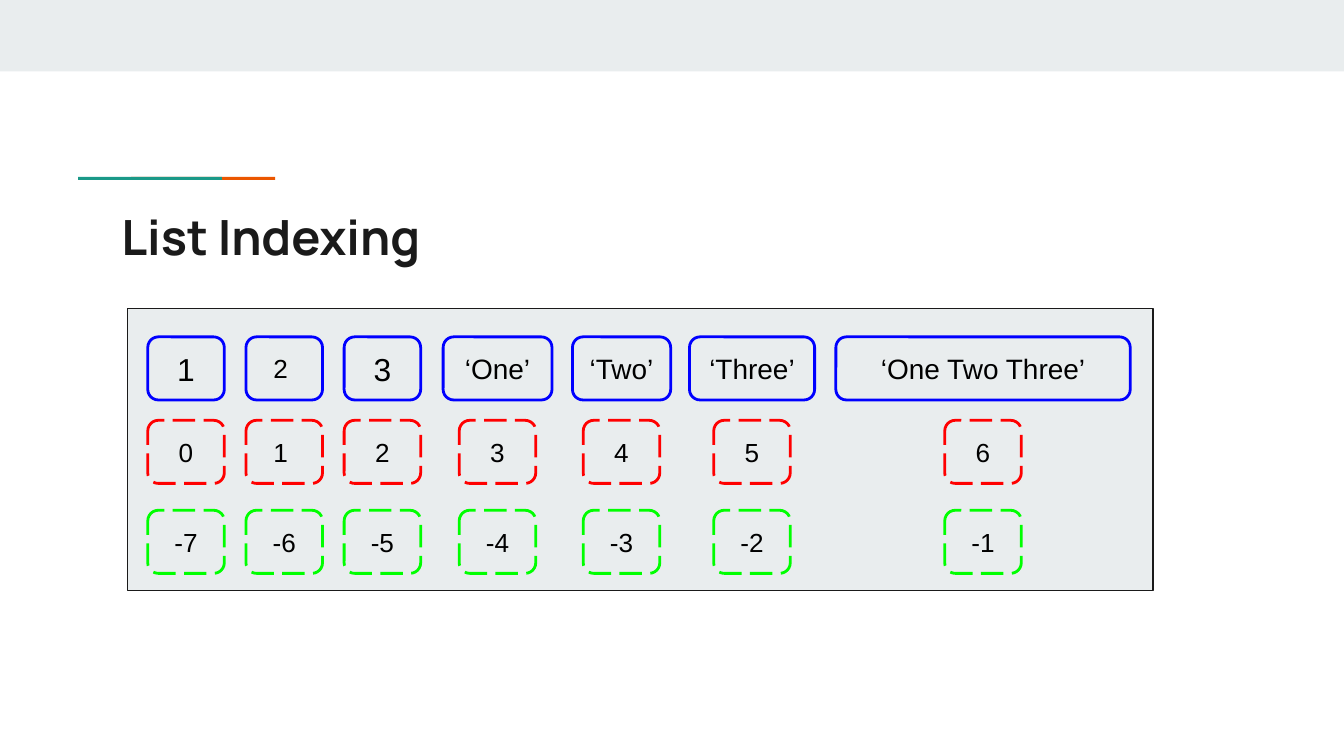
from pptx import Presentation
from pptx.dml.color import RGBColor
from pptx.enum.dml import MSO_LINE
from pptx.enum.shapes import MSO_SHAPE
from pptx.enum.text import MSO_ANCHOR, PP_ALIGN
from pptx.util import Pt

RECT = MSO_SHAPE.RECTANGLE
ROUNDED = MSO_SHAPE.ROUNDED_RECTANGLE
LONG_DASH = MSO_LINE.LONG_DASH
MIDDLE, TOP = MSO_ANCHOR.MIDDLE, MSO_ANCHOR.TOP
CENTER, LEFT = PP_ALIGN.CENTER, PP_ALIGN.LEFT

COLORS = {
    "panel": "E9EDEE",
    "ink": "1A1A1A",
    "text": "000000",
    "teal": "1A9988",
    "orange": "EB5600",
    "value": "0000FF",
    "positive": "FF0000",
    "negative": "00FF00",
}

SLIDE_WIDTH, SLIDE_HEIGHT = 720, 405
INSET = 7.2
CELL_WIDTH, CELL_HEIGHT = 41, 33.8
VALUE_TOP, POSITIVE_TOP, NEGATIVE_TOP = 15.1, 59.8, 108

# Value, its text size, left edge within the panel, cell width
LIST_ITEMS = [
    ("1", 17, 10.8, CELL_WIDTH),
    ("2 ", 14, 63.4, CELL_WIDTH),
    ("3", 17, 116, CELL_WIDTH),
    ("‘One’", 15, 169, 58.3),
    ("‘Two’", 15, 238.3, 52.6),
    ("‘Three’", 15, 301, 67),
    ("‘One Two Three’", 15, 379.4, 157.7),
]
POSITIVE_LABELS = ["0", "1 ", "2", "3", "4", "5", "6"]


def color(name):
    return RGBColor.from_string(COLORS[name])


def add_box(slide, kind, box, fill, line=None, line_width=1.5):
    shape = slide.shapes.add_shape(kind, *map(Pt, box))
    shape.shadow.inherit = False
    shape.fill.solid()
    shape.fill.fore_color.rgb = color(fill)
    if line:
        shape.line.color.rgb = color(line)
        shape.line.width = Pt(line_width)
    else:
        shape.line.fill.background()
    return shape


def write(shape, text, size, font, ink, anchor, align, bold=False):
    frame = shape.text_frame
    frame.word_wrap = True
    frame.vertical_anchor = anchor
    frame.margin_left = frame.margin_right = Pt(INSET)
    frame.margin_top = frame.margin_bottom = Pt(INSET)
    paragraph = frame.paragraphs[0]
    paragraph.alignment = align
    run = paragraph.add_run()
    run.text = text
    run.font.size = Pt(size)
    run.font.name = font
    run.font.bold = bold
    run.font.color.rgb = color(ink)


def add_accent(slide, left, top, width, height):
    """Two equal bars at either end of the box, the teal one on top."""
    bar_width = 0.73 * width
    add_box(slide, RECT, (left + width - bar_width, top, bar_width, height), "orange")
    add_box(slide, RECT, (left, top, bar_width, height), "teal")


def add_title(slide, left, top, width, height):
    title = slide.shapes.add_textbox(Pt(left), Pt(top), Pt(width), Pt(height))
    write(title, "List Indexing", 26, "Manrope", "ink", TOP, LEFT, bold=True)


def add_cell(slide, box, text, size, outline, dashed=True):
    cell = add_box(slide, ROUNDED, box, "panel", outline)
    if dashed:
        cell.line.dash_style = LONG_DASH
    write(cell, text, size, "Arial", "text", MIDDLE, CENTER)


def add_index_panel(slide, left, top, width, height):
    """List values, each with its positive and negative index centred below."""
    add_box(slide, RECT, (left, top, width, height), "panel", "ink", 0.75)
    for position, (value, size, offset, value_width) in enumerate(LIST_ITEMS):
        value_left = left + offset
        index_left = value_left + (value_width - CELL_WIDTH) / 2
        add_cell(slide, (value_left, top + VALUE_TOP, value_width, CELL_HEIGHT),
                 value, size, "value", dashed=False)
        index_rows = [
            (POSITIVE_TOP, POSITIVE_LABELS[position], "positive"),
            (NEGATIVE_TOP, str(position - len(LIST_ITEMS)), "negative"),
        ]
        for row_top, label, outline in index_rows:
            add_cell(slide, (index_left, top + row_top, CELL_WIDTH, CELL_HEIGHT),
                     label, 14, outline)


def main():
    deck = Presentation()
    deck.slide_width, deck.slide_height = Pt(SLIDE_WIDTH), Pt(SLIDE_HEIGHT)
    slide = deck.slides.add_slide(deck.slide_layouts[6])
    add_box(slide, RECT, (0, 0, SLIDE_WIDTH, 38.3), "panel")
    add_accent(slide, 41.8, 94.8, 105.6, 1.6)
    add_title(slide, 57.9, 103.7, 605.5, 42.5)
    add_index_panel(slide, 68.4, 165.4, 549.4, 151)
    deck.save("out.pptx")


if __name__ == "__main__":
    main()
